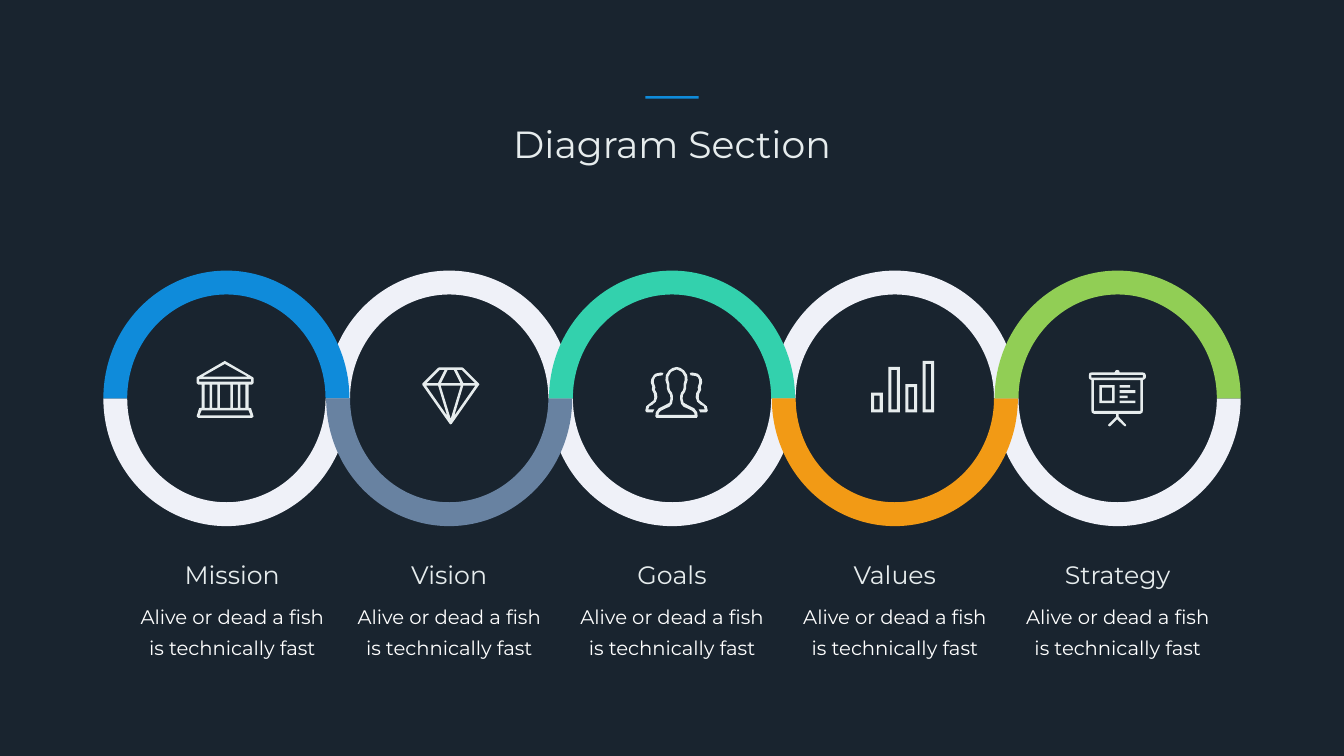
from pptx import Presentation
from pptx.dml.color import RGBColor
from pptx.enum.shapes import MSO_SHAPE
from pptx.enum.text import MSO_ANCHOR, MSO_AUTO_SIZE, PP_ALIGN
from pptx.util import Pt

THEME = {
    "font": "Montserrat",
    "background": "19242F",
    "light": "E6ECED",
    "body": "FFFFFF",
    "ring": "EFF1F8",
    "accent": "0F8BDA",
    "title_size": 54,
    "heading_size": 36,
    "body_size": 28,
}


def paint(shape, color):
    shape.shadow.inherit = False
    shape.fill.solid()
    shape.fill.fore_color.rgb = RGBColor.from_string(color)
    shape.line.fill.background()


def write(box, text, size, color, wrap=True, spacing=None):
    frame = box.text_frame
    frame_format = {
        "text": text,
        "word_wrap": wrap,
        "auto_size": MSO_AUTO_SIZE.SHAPE_TO_FIT_TEXT,
        "vertical_anchor": MSO_ANCHOR.TOP,
    }
    for name, value in frame_format.items():
        setattr(frame, name, value)
    para = frame.paragraphs[0]
    para.alignment = PP_ALIGN.CENTER
    if spacing:
        para.line_spacing = spacing
    font = para.runs[0].font
    for name, value in {"name": THEME["font"], "size": Pt(size), "bold": False}.items():
        setattr(font, name, value)
    font.color.rgb = RGBColor.from_string(color)


icon_outlines = {
    "bank": [
        [(56, 0), (111, 32), (113, 34), (113, 44), (110, 47), (103, 47), (103, 93),
         (105, 93), (108, 94), (113, 110), (110, 113), (3, 113), (0, 110), (5, 94),
         (8, 93), (10, 93), (10, 47), (3, 47), (0, 44), (0, 34), (1, 32)],
        [(56, 6), (101, 31), (12, 31)],
        [(103, 98), (107, 108), (6, 108), (10, 98)],
    ],
    "diamond": [
        [(33, 0), (79, 0), (81, 1), (112, 32), (113, 34), (112, 35), (58, 112),
         (56, 113), (54, 112), (0, 35), (0, 32), (31, 1)],
        [(63, 96), (81, 36), (105, 36)],
        [(56, 102), (36, 36), (76, 36)],
        [(7, 36), (31, 36), (49, 96)],
        [(34, 5), (44, 5), (31, 31), (8, 31)],
        [(62, 5), (75, 31), (37, 31), (50, 5)],
        [(78, 5), (104, 31), (81, 31), (68, 5)],
    ],
    "people": [],
    "bars": [],
    "board": [
        [(5, 5), (51, 5), (53, 1), (56, 0), (60, 1), (61, 5), (107, 5), (111, 6),
         (113, 10), (113, 15), (111, 18), (107, 20), (107, 81), (106, 85), (102, 87),
         (59, 87), (59, 93), (73, 108), (74, 110), (72, 112), (70, 111), (56, 98),
         (43, 111), (41, 112), (38, 110), (39, 108), (54, 93), (54, 87), (10, 87),
         (6, 85), (5, 81), (5, 20), (1, 18), (0, 15), (0, 10), (1, 6)],
    ],
}

icon_rectangles = {
    "bank": [(5, 36, 108, 41)],
    "bars": [],
    "board": [(5, 10, 107, 15), (10, 20, 102, 81), (21, 30, 51, 66), (26, 35, 46, 61),
              (61, 30, 82, 35), (61, 40, 92, 46), (61, 51, 77, 56), (61, 61, 92, 66)],
}
for left, right in [(16, 26), (31, 41), (46, 67), (72, 82), (87, 97)]:
    icon_rectangles["bank"].append((left, 47, right, 93))
for index, top in enumerate([63, 12, 46, 0]):
    left = index * 34
    icon_rectangles["bars"].append((left, top, left + 23, 102))
    icon_rectangles["bars"].append((left + 6, top + 6, left + 17, 96))
for icon, rectangles in icon_rectangles.items():
    for left, top, right, bottom in rectangles:
        icon_outlines[icon].append([(left, top), (right, top), (right, bottom), (left, bottom)])

bust_outer = [(62, 0), (54, 2), (47, 7), (41, 16), (40, 26), (43, 36), (43, 43), (45, 49),
              (49, 55), (50, 63), (48, 71), (39, 76), (27, 82), (21, 90), (20, 98), (22, 101)]
bust_inner = [(62, 5), (57, 7), (51, 10), (46, 19), (46, 27), (48, 34), (48, 41), (49, 46),
              (53, 51), (55, 58), (55, 63), (53, 73), (48, 79), (41, 82), (31, 87), (27, 91),
              (26, 95)]
side_person = [(14, 75), (8, 78), (6, 84), (18, 84), (15, 90), (3, 90), (0, 87), (2, 78),
               (12, 70), (17, 66), (18, 60), (17, 53), (15, 49), (13, 45), (14, 39), (11, 31),
               (12, 24), (17, 16), (21, 13), (31, 11), (36, 12), (35, 14), (34, 17), (31, 17),
               (24, 18), (20, 20), (17, 26), (17, 31), (19, 37), (20, 41), (19, 45), (23, 52),
               (24, 60), (21, 69)]
for half in (bust_outer, bust_inner):
    icon_outlines["people"].append(half + [(124 - x, y) for x, y in reversed(half)])
icon_outlines["people"].append(side_person)
icon_outlines["people"].append([(124 - x, y) for x, y in side_person])

sections = [
    {"heading": "Mission", "width": 152, "color": "0F8BDA", "nudge": 8.4,
     "icon": "bank", "icon_at": (280.8, 515.6)},
    {"heading": "Vision", "width": 124.6, "color": "6882A1", "nudge": 0,
     "icon": "diamond", "icon_at": (603.4, 524.9)},
    {"heading": "Goals", "width": 114.5, "color": "33D1AD", "nudge": 0,
     "icon": "people", "icon_at": (921.6, 524.2)},
    {"heading": "Values", "width": 135.4, "color": "F29A15", "nudge": 0,
     "icon": "bars", "icon_at": (1244.2, 515.6)},
    {"heading": "Strategy", "width": 169.2, "color": "91CE55", "nudge": 0,
     "icon": "board", "icon_at": (1555.2, 528.5)},
]
first_center, pitch = 323.3, 318.24
ring_width, ring_height, ring_top = 351.4, 365, 386.6
body_width = 293.8

deck = Presentation()
deck.slide_width, deck.slide_height = Pt(1919.52), Pt(1080)
page = deck.slides.add_slide(deck.slide_layouts[5])
page.background.fill.solid()
page.background.fill.fore_color.rgb = RGBColor.from_string(THEME["background"])
shapes = page.shapes

title = shapes.title
title_place = {"left": 593.3, "top": 168.5, "width": 733, "height": 72.7}
for name, value in title_place.items():
    setattr(title, name, Pt(value))
write(title, "Diagram Section", THEME["title_size"], THEME["light"])
title_rule = shapes.add_shape(MSO_SHAPE.RECTANGLE, Pt(921.6), Pt(137.3), Pt(76.3), Pt(3.8))
paint(title_rule, THEME["accent"])

for colored in (False, True):
    for index, section in enumerate(sections):
        left = first_center + index * pitch - ring_width / 2
        arc = shapes.add_shape(MSO_SHAPE.BLOCK_ARC, Pt(left), Pt(ring_top),
                               Pt(ring_width), Pt(ring_height))
        for position, value in enumerate([108, 0, 0.097]):
            arc.adjustments[position] = value
        upper = colored == (index % 2 == 0)
        arc.rotation = 0 if upper else 180
        paint(arc, section["color"] if colored else THEME["ring"])

for index, section in enumerate(sections):
    center = first_center + index * pitch + section["nudge"]
    heading = shapes.add_textbox(Pt(center - section["width"] / 2), Pt(795.6),
                                 Pt(section["width"]), Pt(51.1))
    write(heading, section["heading"], THEME["heading_size"], THEME["light"], wrap=False)
    body = shapes.add_textbox(Pt(center - body_width / 2), Pt(850.3), Pt(body_width), Pt(92.2))
    write(body, "Alive or dead a fish is technically fast", THEME["body_size"],
          THEME["body"], spacing=Pt(44.4))

    outlines = icon_outlines[section["icon"]]
    builder = shapes.build_freeform(*outlines[0][0], scale=Pt(0.72))
    for number, outline in enumerate(outlines):
        if number:
            builder.move_to(*outline[0])
        builder.add_line_segments(outline[1:], close=True)
    icon_left, icon_top = section["icon_at"]
    paint(builder.convert_to_shape(Pt(icon_left), Pt(icon_top)), THEME["light"])

deck.save("out.pptx")
